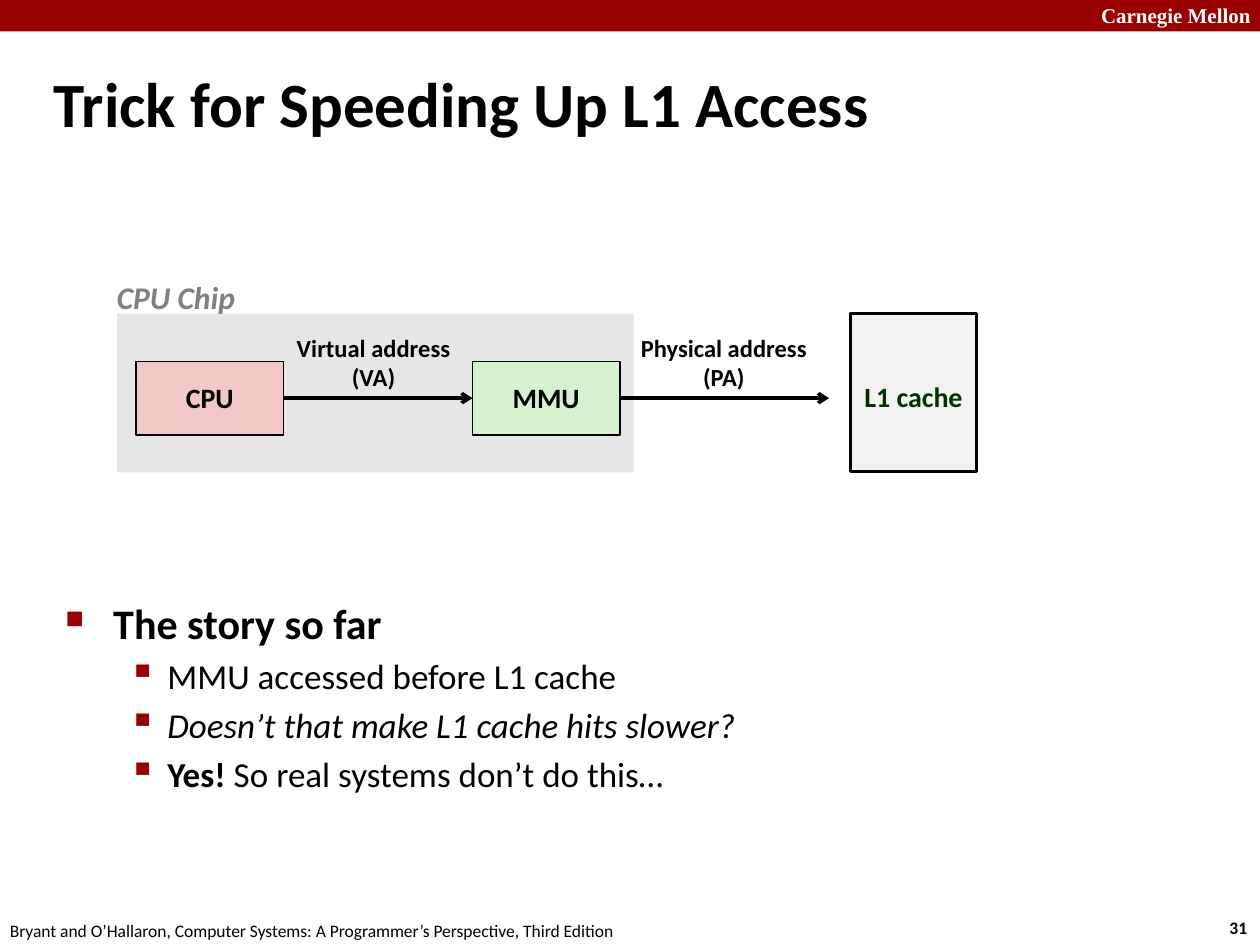
from lxml import etree
from pptx import Presentation
from pptx import util as u
from pptx.dml.color import RGBColor
from pptx.enum import shapes, text
from pptx.oxml import ns

COLORS = {
    "black": "000000", "white": "FFFFFF", "crimson": "990000",
    "gray": "808080", "chip": "E6E6E6", "mmu": "D5F1CF",
    "cpu": "F1C7C7", "cache": "F2F2F2", "cache_text": "003300",
}
CENTER = text.PP_ALIGN.CENTER
MIDDLE = text.MSO_ANCHOR.MIDDLE


def color(name):
    return RGBColor.from_string(COLORS[name])


def add_child(parent, tag, **attributes):
    return etree.SubElement(parent, ns.qn(tag), attributes)


def add_run(paragraph, words, size, fill="black", bold=False, italic=False, font="Calibri"):
    run = paragraph.add_run()
    run.text = words
    run.font.name = font
    run.font.size = u.Pt(size)
    run.font.bold = bold
    run.font.italic = italic
    run.font.color.rgb = color(fill)


def add_lines(frame, lines, size, align=None, spacing=None, **style):
    for index, words in enumerate(lines):
        paragraph = frame.add_paragraph() if index else frame.paragraphs[0]
        paragraph.alignment = align
        paragraph.line_spacing = spacing
        add_run(paragraph, words, size, **style)


def add_label(slide, box, lines, size, wrap=False, anchor=text.MSO_ANCHOR.TOP, **style):
    frame = slide.shapes.add_textbox(*map(u.Inches, box)).text_frame
    frame.word_wrap = wrap
    frame.vertical_anchor = anchor
    add_lines(frame, lines, size, **style)
    return frame


def add_box(slide, box, fill, line_width=None, label=None):
    shape = slide.shapes.add_shape(shapes.MSO_SHAPE.RECTANGLE, *map(u.Inches, box))
    shape.shadow.inherit = False
    shape.fill.solid()
    shape.fill.fore_color.rgb = color(fill)
    if line_width:
        shape.line.color.rgb = color("black")
        shape.line.width = u.Pt(line_width)
    else:
        shape.line.fill.background()
    if label:
        shape.text_frame.word_wrap = False
        shape.text_frame.vertical_anchor = MIDDLE
        add_lines(shape.text_frame, [label], 16, CENTER, 0.98, bold=True)
    return shape


def add_arrow(slide, start, left, right, y, end=None):
    connector = slide.shapes.add_connector(
        shapes.MSO_CONNECTOR.STRAIGHT,
        u.Inches(left), u.Inches(y), u.Inches(right), u.Inches(y))
    connector.begin_connect(start, 3)
    if end is not None:
        connector.end_connect(end, 1)
    connector.line.color.rgb = color("black")
    connector.line.width = u.Pt(2)
    add_child(connector.line._get_or_add_ln(), "a:tailEnd", type="arrow")
    add_child(connector._element.spPr, "a:effectLst")


def set_indent(paragraph, margin, hanging):
    properties = paragraph._p.get_or_add_pPr()
    properties.set("marL", str(u.Inches(margin)))
    properties.set("indent", str(-u.Inches(hanging)))
    return properties


def add_bullet(paragraph, level, runs):
    margin, hanging, size, mark, percent = (
        (0.38, 0.38, 24, "■", 60), (0.81, 0.31, 20, "▪", 110))[level]
    paragraph.level = level
    properties = set_indent(paragraph, margin, hanging)
    bullet_color = add_child(properties, "a:buClr")
    add_child(bullet_color, "a:srgbClr", val=COLORS["crimson"])
    add_child(properties, "a:buSzPct", val=str(percent * 1000))
    add_child(properties, "a:buChar", char=mark)
    if level:
        paragraph.space_before = u.Pt(4)
    for words, bold, italic in runs:
        add_run(paragraph, words, size, bold=bold, italic=italic)


def add_story(slide):
    frame = slide.shapes.add_textbox(*map(u.Inches, (0.42, 4.69, 9.35, 2.56))).text_frame
    frame.word_wrap = True
    items = [
        (0, [("The story so far", True, False)]),
        (1, [("MMU accessed before L1 cache", False, False)]),
        (1, [("Doesn’t that make L1 cache hits slower?", False, True)]),
        (1, [("Yes!", True, False), (" So real systems don’t do this…", False, False)]),
    ]
    for index, (level, runs) in enumerate(items):
        paragraph = frame.add_paragraph() if index else frame.paragraphs[0]
        add_bullet(paragraph, level, runs)


def add_page_frame(slide):
    add_box(slide, (0, 0, 10, 0.25), "crimson")
    add_label(slide, (8.64, -0.03, 1.43, 0.3), ["Carnegie Mellon"], 12, wrap=True,
              fill="white", bold=True, font="Times New Roman")
    add_label(slide, (9.66, 7.23, 0.37, 0.27), ["31"], 10, bold=True)
    add_label(slide, (-0.02, 7.25, 5.08, 0.27),
              ["Bryant and O’Hallaron, Computer Systems: "
               "A Programmer’s Perspective, Third Edition"], 10)
    title = add_label(slide, (0.33, 0.5, 8.67, 0.63), ["Trick for Speeding Up L1 Access"],
                      36, wrap=True, anchor=MIDDLE, bold=True)
    set_indent(title.paragraphs[0], 0.13, 0.13)


def add_diagram(slide):
    add_box(slide, (0.93, 2.49, 4.1, 1.26), "chip")
    cpu = add_box(slide, (1.08, 2.87, 1.17, 0.58), "cpu", 1, "CPU")
    mmu = add_box(slide, (3.75, 2.87, 1.17, 0.58), "mmu", 1, "MMU")
    add_box(slide, (6.75, 2.49, 1, 1.25), "cache", 1.5)
    add_arrow(slide, cpu, 2.25, 3.75, 3.16, mmu)
    add_arrow(slide, mmu, 4.92, 6.58, 3.16)
    for left, width, lines in ((2.25, 1.43, ["Virtual address", "(VA)"]),
                               (4.98, 1.53, ["Physical address", "(PA)"])):
        add_label(slide, (left, 2.6, width, 0.57), lines, 14, anchor=MIDDLE,
                  align=CENTER, spacing=0.98, bold=True)
    add_label(slide, (0.83, 2.16, 1.16, 0.4), ["CPU Chip"], 18,
              fill="gray", bold=True, italic=True)
    add_label(slide, (6.75, 3, 1, 0.33), ["L1 cache"], 16, wrap=True, anchor=MIDDLE,
              align=CENTER, spacing=0.88, fill="cache_text", bold=True)


def main():
    presentation = Presentation()
    presentation.slide_width = u.Inches(10)
    presentation.slide_height = u.Inches(7.5)
    slide = presentation.slides.add_slide(presentation.slide_layouts[6])
    add_page_frame(slide)
    add_story(slide)
    add_diagram(slide)
    presentation.save("out.pptx")


if __name__ == "__main__":
    main()
